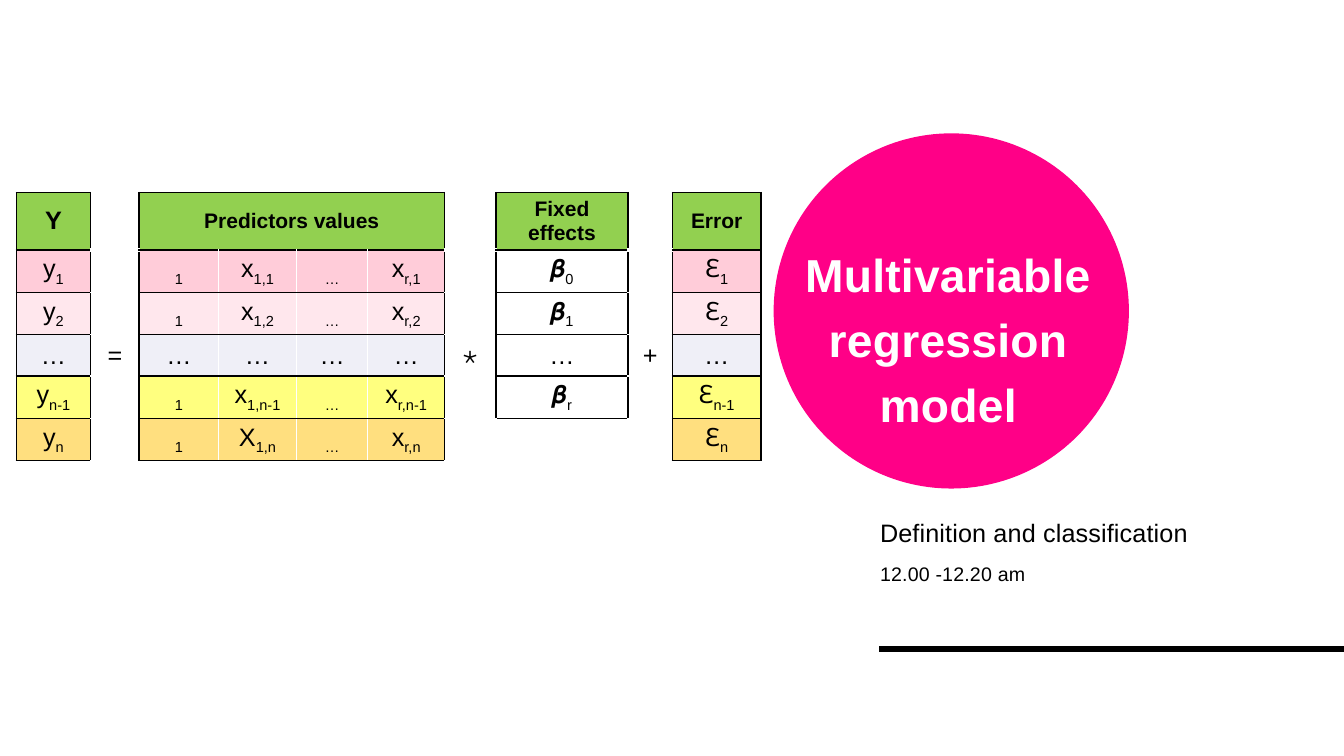
from lxml import etree
from pptx import Presentation
from pptx.dml.color import RGBColor
from pptx.enum.shapes import MSO_CONNECTOR, MSO_SHAPE
from pptx.enum.text import MSO_ANCHOR, MSO_AUTO_SIZE, PP_ALIGN
from pptx.oxml.ns import qn
from pptx.util import Inches, Pt

CENTER, LEFT = PP_ALIGN.CENTER, PP_ALIGN.LEFT
TOP, MIDDLE = MSO_ANCHOR.TOP, MSO_ANCHOR.MIDDLE
NO_AUTOFIT = MSO_AUTO_SIZE.NONE
ELLIPSE = MSO_SHAPE.OVAL
STRAIGHT = MSO_CONNECTOR.STRAIGHT

FONT = "Arial"
BLACK = RGBColor(0x00, 0x00, 0x00)
WHITE = RGBColor(0xFF, 0xFF, 0xFF)
PINK = RGBColor(0xFF, 0x00, 0x87)
GREEN = RGBColor(0x92, 0xD0, 0x50)
ROSE = RGBColor(0xFF, 0xCC, 0xD9)
PALE_ROSE = RGBColor(0xFF, 0xE7, 0xED)
LAVENDER = RGBColor(0xE0, 0xE0, 0xF0)
YELLOW = RGBColor(0xFF, 0xFF, 0x00)
ORANGE = RGBColor(0xFF, 0xC0, 0x00)

COLUMN_WIDTHS = [0.74, 0.48, 0.79, 0.77, 0.71, 0.76, 0.51, 1.31, 0.44, 0.88]
ROW_HEIGHTS = [0.57, 0.42, 0.42, 0.41, 0.42, 0.42]
GAP_COLUMNS = (1, 6, 8)
FIRST_PREDICTOR, LAST_PREDICTOR = 2, 5
EFFECTS_COLUMN = 7
ROW_FILLS = [GREEN, ROSE, PALE_ROSE, LAVENDER, YELLOW, ORANGE]
FIRST_TRANSLUCENT_ROW = 3
LAST_ROW = len(ROW_HEIGHTS) - 1

# Text after an underscore is a subscript.
EQUATION = [
    ["Y", "", "Predictors values", "", "", "", "", "Fixed effects", "", "Error"],
    ["y_1", "", "_1", "x_1,1", "_…", "x_r,1", "", "𝜷_0", "", "ℇ_1"],
    ["y_2", "", "_1", "x_1,2", "_…", "x_r,2", "", "𝜷_1", "", "ℇ_2"],
    ["…", "=", "…", "…", "…", "…", "⋆", "…", "+", "…"],
    ["y_n-1", "", "_1", "x_1,n-1", "_…", "x_r,n-1", "", "𝜷_r", "", "ℇ_n-1"],
    ["y_n", "", "_1", "X_1,n", "_…", "x_r,n", "", "", "", "ℇ_n"],
]


def format_run(run, size, color, bold=False):
    run.font.name = FONT
    run.font.size = Pt(size)
    run.font.bold = bold
    run.font.color.rgb = color


def write_text(shape, text, size, color, bold, alignment, line_spacing, tracking):
    """Fill a text shape; tracking is in hundredths of a point."""
    frame = shape.text_frame
    frame.text = text
    frame.word_wrap = True
    frame.auto_size = NO_AUTOFIT
    frame.vertical_anchor = TOP
    paragraph = frame.paragraphs[0]
    paragraph.alignment = alignment
    paragraph.line_spacing = line_spacing
    paragraph.space_before = Pt(0)
    run = paragraph.runs[0]
    format_run(run, size, color, bold)
    run._r.get_or_add_rPr().set("spc", str(tracking))


def add_title(slide):
    title = slide.shapes.title
    title.left, title.top = Inches(7.86), Inches(2.27)
    title.width, title.height = Inches(3.09), Inches(2.23)
    write_text(title, "Multivariable regression model", 33, WHITE, True, CENTER, 1.18, 20)
    title.text_frame.margin_top = Inches(0.07)


def add_caption(slide, text, top, width, height, size):
    box = slide.shapes.add_textbox(Inches(8.63), Inches(top), Inches(width), Inches(height))
    write_text(box, text, size, BLACK, False, LEFT, 1.13, 10)


def add_title_circle(slide):
    """Add the circle behind the title."""
    circle = slide.shapes.add_shape(
        ELLIPSE, Inches(7.68), Inches(1.33), Inches(3.51), Inches(3.51))
    circle.shadow.inherit = False
    circle.fill.solid()
    circle.fill.fore_color.rgb = PINK
    circle.line.color.rgb = PINK
    circle.line.width = Pt(1)
    slide.shapes._spTree.insert(2, circle._element)


def add_rule(slide):
    rule = slide.shapes.add_connector(
        STRAIGHT, Inches(13.33), Inches(6.44), Inches(8.72), Inches(6.44))
    rule.line.color.rgb = BLACK
    rule.line.width = Pt(4.5)
    etree.SubElement(rule._element.spPr, qn("a:effectLst"))


def set_border(cell, side, color, width):
    line = etree.SubElement(
        cell._tc.get_or_add_tcPr(), qn("a:ln" + side), w=str(Pt(width)))
    fill = etree.SubElement(line, qn("a:solidFill"))
    etree.SubElement(fill, qn("a:srgbClr"), val=str(color))


def white_sides(row, column):
    """Name the sides of a cell that are drawn white; the others are black."""
    sides = ""
    if column in GAP_COLUMNS:
        sides = "TB"
    elif row and FIRST_PREDICTOR <= column <= LAST_PREDICTOR:
        sides += "L" if column > FIRST_PREDICTOR else ""
        sides += "R" if column < LAST_PREDICTOR else ""
    if row == LAST_ROW:
        sides += {EFFECTS_COLUMN - 1: "R", EFFECTS_COLUMN: "LRB",
                  EFFECTS_COLUMN + 1: "L"}.get(column, "")
    return sides


def fill_cell(cell, row, column):
    if column in GAP_COLUMNS:
        cell.fill.background()
        return
    cell.fill.solid()
    is_effect = row > 0 and column == EFFECTS_COLUMN
    cell.fill.fore_color.rgb = WHITE if is_effect else ROW_FILLS[row]
    if row >= FIRST_TRANSLUCENT_ROW and not is_effect:
        color = cell._tc.tcPr.find(qn("a:solidFill")).find(qn("a:srgbClr"))
        etree.SubElement(color, qn("a:alpha"), val="50000")


def write_cell(cell, text, size, bold):
    cell.vertical_anchor = MIDDLE
    paragraph = cell.text_frame.paragraphs[0]
    paragraph.alignment = CENTER
    symbol, _, subscript = text.partition("_")
    for part, baseline in ((symbol, 0), (subscript, -25000)):
        if part:
            run = paragraph.add_run()
            run.text = part
            format_run(run, size, BLACK, bold)
            run._r.get_or_add_rPr().set("baseline", str(baseline))


def add_equation_table(slide):
    table = slide.shapes.add_table(
        len(ROW_HEIGHTS), len(COLUMN_WIDTHS), Inches(0.16), Inches(1.91),
        Inches(sum(COLUMN_WIDTHS)), Inches(sum(ROW_HEIGHTS))).table
    table.first_row = False
    table.horz_banding = False
    for column, width in zip(table.columns, COLUMN_WIDTHS):
        column.width = Inches(width)
    for row, height in zip(table.rows, ROW_HEIGHTS):
        row.height = Inches(height)
    table.cell(0, FIRST_PREDICTOR).merge(table.cell(0, LAST_PREDICTOR))
    for row, texts in enumerate(EQUATION):
        for column, text in enumerate(texts):
            cell = table.cell(row, column)
            white = white_sides(row, column)
            for side in "LRTB":
                thick = row == 0 and side == "B" and column in GAP_COLUMNS
                set_border(cell, side, WHITE if side in white else BLACK, 3 if thick else 1)
            fill_cell(cell, row, column)
            is_small_header = row == 0 and column > 0
            write_cell(cell, text, 15 if is_small_header else 18, row == 0)


def main():
    presentation = Presentation()
    presentation.slide_width = Inches(13.33)
    presentation.slide_height = Inches(7.5)
    slide = presentation.slides.add_slide(presentation.slide_layouts[5])
    add_title_circle(slide)
    add_rule(slide)
    add_title(slide)
    add_caption(slide, "Definition and classification", 5.04, 3.47, 0.34, 18)
    add_caption(slide, "12.00 -12.20 am", 5.49, 2.03, 0.62, 14)
    add_equation_table(slide)
    presentation.save("out.pptx")


if __name__ == "__main__":
    main()
